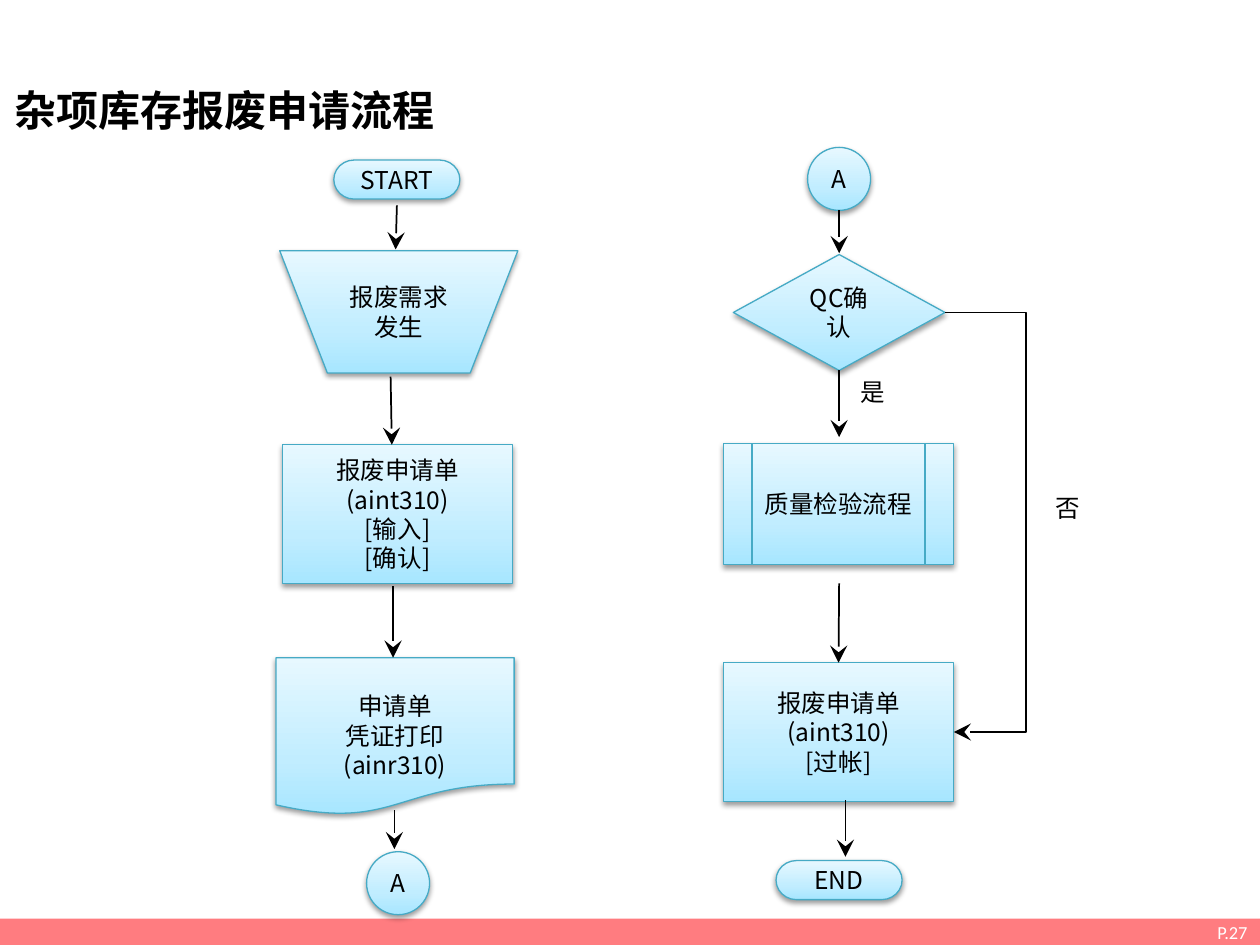
from dataclasses import dataclass
from typing import Optional

from pptx import Presentation
from pptx.dml.color import RGBColor
from pptx.enum.shapes import MSO_CONNECTOR, MSO_SHAPE
from pptx.enum.text import MSO_ANCHOR, MSO_AUTO_SIZE, PP_ALIGN
from pptx.oxml import parse_xml
from pptx.oxml.ns import nsdecls, qn
from pptx.oxml.xmlchemy import OxmlElement
from pptx.util import Emu, Inches, Pt

RECT = MSO_SHAPE.RECTANGLE
TERMINATOR = MSO_SHAPE.FLOWCHART_TERMINATOR
CIRCLE = MSO_SHAPE.FLOWCHART_CONNECTOR
MANUAL = MSO_SHAPE.FLOWCHART_MANUAL_OPERATION
DOCUMENT = MSO_SHAPE.FLOWCHART_DOCUMENT
DECISION = MSO_SHAPE.FLOWCHART_DECISION
SUBPROCESS = MSO_SHAPE.FLOWCHART_PREDEFINED_PROCESS
STRAIGHT, ELBOW = MSO_CONNECTOR.STRAIGHT, MSO_CONNECTOR.ELBOW
LEFT, CENTER, RIGHT = PP_ALIGN.LEFT, PP_ALIGN.CENTER, PP_ALIGN.RIGHT
TOP, MIDDLE = MSO_ANCHOR.TOP, MSO_ANCHOR.MIDDLE
TOP_SITE, BOTTOM_SITE, RIGHT_SITE = 0, 2, 3

FONT = "Noto Sans CJK SC"
BLACK, WHITE, CORAL, TEAL = "000000", "FFFFFF", "FF7C80", "46AAC5"
GRADIENT = ((0, "A7E6FF"), (35, "C1EDFF"), (100, "E7F8FF"))  # bottom to top

prs = Presentation()
prs.slide_width, prs.slide_height = Inches(10), Inches(7.5)
CELL = prs.slide_width // 100  # the grid has 100 columns and 75 rows
s = prs.slides.add_slide(prs.slide_layouts[6])


@dataclass
class Node:
    key: str
    kind: MSO_SHAPE
    col: float
    row: float
    cols: float
    rows: float
    lines: tuple[str, ...]
    pad_rows: float = 0


@dataclass
class Arrow:
    """A straight arrow; src and dst name the nodes it is joined to."""
    start: tuple[float, float]
    end: tuple[float, float]
    src: Optional[str] = None
    dst: Optional[str] = None


NODES = (
    Node("start", TERMINATOR, 26.5, 12.7, 10, 3.1, ("START",)),
    Node("demand", MANUAL, 22.2, 19.9, 18.9, 9.7, ("报废需求发生",)),
    Node("request", RECT, 22.4, 35.3, 18.3, 11,
         ("报废申请单(aint310)", "[输入]", "[确认]")),
    Node("print", DOCUMENT, 21.9, 52.2, 18.9, 12.5,
         ("申请单", "凭证打印", "(ainr310)"), pad_rows=2.3),
    Node("a_out", CIRCLE, 29.1, 67.6, 5, 5, ("A",)),
    Node("a_in", CIRCLE, 64.1, 11.7, 5, 5, ("A",)),
    Node("qc", DECISION, 58.2, 20.2, 16.8, 9.2, ("QC确认",)),
    Node("inspect", SUBPROCESS, 57.4, 35.2, 18.3, 9.6, ("质量检验流程",)),
    Node("post", RECT, 57.4, 52.6, 18.3, 11, ("报废申请单(aint310)", "[过帐]")),
    Node("end", TERMINATOR, 61.6, 68.3, 10, 3.1, ("END",)),
)
ARROWS = (
    Arrow((31.5, 16.3), (31.4, 19.8)),
    Arrow((31, 29.9), (31.1, 35.3)),
    Arrow((31.2, 46.5), (31.2, 52.2)),
    Arrow((31.3, 64.3), (31.3, 67.4)),
    Arrow((66.6, 16.7), (66.6, 20.1)),
    Arrow((66.6, 29.4), (66.6, 34.7), src="qc"),
    Arrow((66.6, 46.3), (66.6, 52.6), dst="post"),
    Arrow((67.1, 63.5), (67.1, 68)),
)
BYPASS_COL = 81.4


def grid(*cells: float) -> list[Emu]:
    return [Emu(round(c * CELL)) for c in cells]


def rgb(value: str) -> RGBColor:
    return RGBColor.from_string(value)


def write(shape, *lines: str, size=14, color=BLACK, font=FONT, bold=False,
          align=CENTER, anchor=MIDDLE, wrap=True) -> None:
    tf = shape.text_frame
    tf.word_wrap, tf.vertical_anchor = wrap, anchor
    for i, text in enumerate(lines):
        p = tf.add_paragraph() if i else tf.paragraphs[0]
        p.alignment = align
        r = p.add_run()
        r.text = text
        r.font.size, r.font.bold, r.font.name = Pt(size), bold, font
        r.font.color.rgb = rgb(color)
        ea = OxmlElement("a:ea")
        ea.set("typeface", font)
        r.font._element.find(qn("a:latin")).addnext(ea)


def add_label(text: str, col: float, row: float, cols: float, rows: float, **fmt) -> None:
    sp = s.shapes.add_textbox(*grid(col, row, cols, rows))
    write(sp, text, align=LEFT, anchor=TOP, **fmt)
    sp.text_frame.auto_size = MSO_AUTO_SIZE.SHAPE_TO_FIT_TEXT


def add_node(node: Node):
    sp = s.shapes.add_shape(node.kind, *grid(node.col, node.row, node.cols, node.rows))
    spPr = sp._element.spPr
    stops = "".join(f'<a:gs pos="{pos * 1000}"><a:srgbClr val="{c}"/></a:gs>'
                    for pos, c in GRADIENT)
    spPr.find(qn("a:prstGeom")).addnext(parse_xml(
        f'<a:gradFill {nsdecls("a")} rotWithShape="1"><a:gsLst>{stops}</a:gsLst>'
        '<a:lin ang="16200000" scaled="0"/></a:gradFill>'))
    sp.line.color.rgb, sp.line.width = rgb(TEAL), Pt(0.75)
    sp.shadow.inherit = False
    spPr.find(qn("a:effectLst")).append(parse_xml(
        f'<a:outerShdw {nsdecls("a")} blurRad="{Pt(3.1)}" dist="{Pt(1.6)}" dir="5400000" '
        'rotWithShape="0"><a:srgbClr val="000000"><a:alpha val="38000"/></a:srgbClr>'
        '</a:outerShdw>'))
    if node.pad_rows:
        sp.text_frame.margin_top += grid(node.pad_rows)[0]
    write(sp, *node.lines)
    return sp


def style_arrow(cxn) -> None:
    cxn.line.color.rgb, cxn.line.width = rgb(BLACK), Pt(1)
    tail = OxmlElement("a:tailEnd")
    for name, value in (("type", "stealth"), ("w", "lg"), ("len", "lg")):
        tail.set(name, value)
    cxn.line._get_or_add_ln().append(tail)
    cxn._element.spPr.append(OxmlElement("a:effectLst"))


def add_arrow(arrow: Arrow, shapes: dict) -> None:
    cxn = s.shapes.add_connector(STRAIGHT, *grid(*arrow.start, *arrow.end))
    if arrow.src:
        cxn.begin_connect(shapes[arrow.src], BOTTOM_SITE)
    if arrow.dst:
        cxn.end_connect(shapes[arrow.dst], TOP_SITE)
    style_arrow(cxn)


def add_bypass(src, dst, col: float) -> None:
    """Join two right-hand sides by an elbow that runs out to the given column."""
    cxn = s.shapes.add_connector(ELBOW, 0, 0, 0, 0)
    cxn.begin_connect(src, RIGHT_SITE)
    cxn.end_connect(dst, RIGHT_SITE)
    reach = (grid(col)[0] - cxn.begin_x) / (cxn.end_x - cxn.begin_x)
    gd = OxmlElement("a:gd")
    gd.set("name", "adj1")
    gd.set("fmla", f"val {round(reach * 100000)}")
    cxn._element.spPr.find(qn("a:prstGeom")).find(qn("a:avLst")).append(gd)
    style_arrow(cxn)


def add_footer() -> None:
    sp = s.shapes.add_shape(RECT, *grid(0, 72.9, 100, 2.1))
    sp.fill.solid()
    sp.fill.fore_color.rgb = rgb(CORAL)
    sp.line.fill.background()
    sp.shadow.inherit = False
    write(sp, "P.27", size=10.5, color=WHITE, font="Calibri", align=RIGHT)


add_footer()
add_label("杂项库存报废申请流程", 0.2, 6.2, 41.7, 5.3, size=24, bold=True)
shapes = {node.key: add_node(node) for node in NODES}
for arrow in ARROWS:
    add_arrow(arrow, shapes)
add_bypass(shapes["qc"], shapes["post"], BYPASS_COL)
add_label("是", 67.3, 29.4, 3.9, 3.5, wrap=False)
add_label("否", 82.8, 38.6, 3.9, 3.5, wrap=False)
prs.save("out.pptx")
